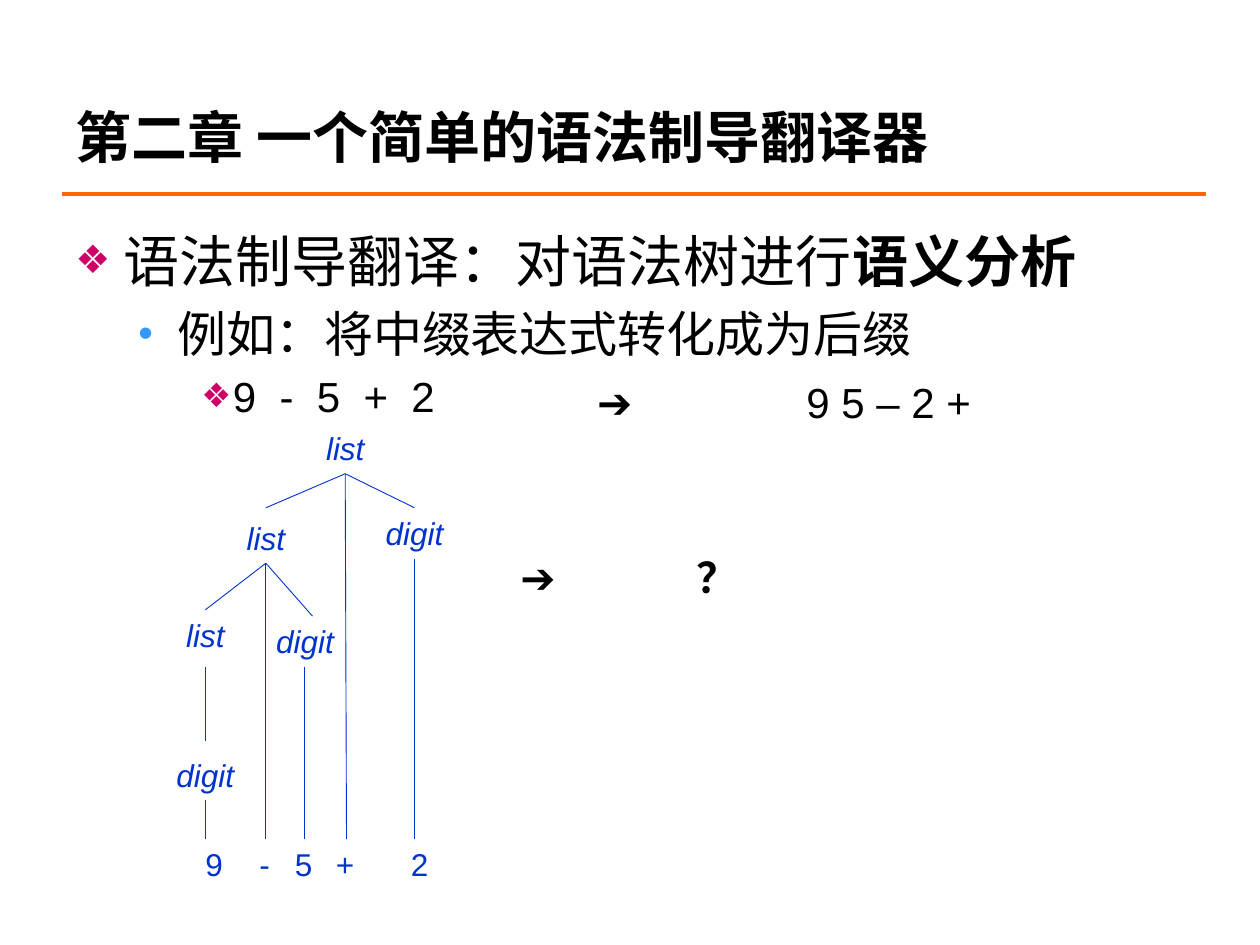
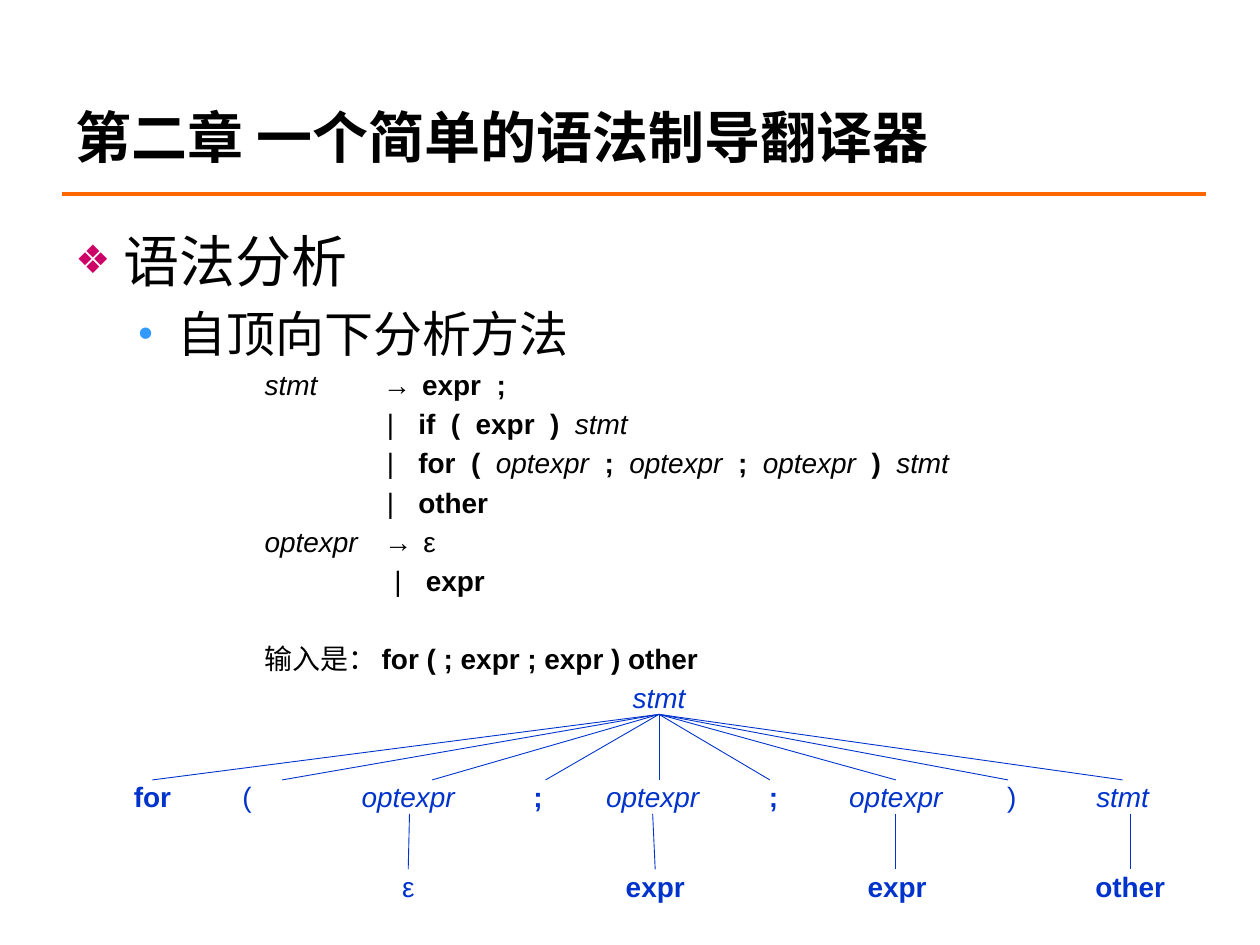
from dataclasses import dataclass
from lxml import etree
from pptx import Presentation
from pptx.dml.color import RGBColor
from pptx.enum import shapes, text
from pptx.oxml import ns
from pptx.util import Inches, Pt


@dataclass(frozen=True)
class Theme:
    ink: str = "000000"
    tree: str = "0033CC"
    rule: str = "FF6600"
    title_font: str = "Noto Sans CJK SC"
    font: str = "Arial"
    title: int = 32
    formula: int = 24
    node: int = 18
    grammar: int = 16
    rule_width: float = 2.25
    branch_width: float = 0.5


THEME = Theme()
TITLE = "第二章 一个简单的语法制导翻译器"
PLAIN, BOLD, ITALIC = {}, {"bold": True}, {"italic": True}
LEVELS = [
    {"size": 32, "left": 0.38, "hang": 0.38, "mark": "❖", "color": "CC0066", "scale": 70},
    {"size": 28, "left": 0.81, "hang": 0.31, "mark": "•", "color": "3399FF", "scale": 85},
    {"size": 24, "left": 1.25, "hang": 0.25, "mark": "❖", "color": "CC0066", "scale": 80},
]

TRANSLATION_BODY = [
    (0, [("语法制导翻译：对语法树进行", PLAIN), ("语义分析", BOLD)], False),
    (1, [("例如：将中缀表达式转化成为后缀", PLAIN)], False),
    (2, [(token, PLAIN) for token in "9-5+2"], True),
]
TRANSLATION_NOTES = [
    (4.74, 2.99, 0.3, "➔", PLAIN), (6.4, 2.99, 1.35, "9 5 – 2 +", PLAIN),
    (4.13, 4.38, 0.3, "➔", PLAIN), (5.53, 4.38, 0.35, "？", BOLD),
]
LIST_NODES = [
    (2.74, 3.36, "list", ITALIC), (2.11, 4.07, "list", ITALIC),
    (1.63, 4.84, "list", ITALIC), (1.63, 5.95, "digit", ITALIC),
    (2.42, 4.89, "digit", ITALIC), (3.29, 4.03, "digit", ITALIC),
] + [(x, 6.66, token, PLAIN)
     for x, token in zip((1.7, 2.1, 2.41, 2.74, 3.33), "9-5+2")]
LIST_BRANCHES = [
    ((2.74, 3.76), [(2.11, 4.03), (2.75, 6.66), (3.29, 4.03)]),
    ((2.11, 4.47), [(1.63, 4.84), (2.11, 6.66), (2.48, 4.89)]),
    ((1.63, 5.29), [(1.63, 5.88)]),
    ((1.63, 6.35), [(1.63, 6.66)]),
    ((2.42, 5.29), [(2.42, 6.66)]),
    ((3.29, 4.44), [(3.29, 6.66)]),
]

PARSING_BODY = [
    (0, [("语法分析", PLAIN)], False),
    (1, [("自顶向下分析方法", PLAIN)], False),
]
NONTERMINALS = {"stmt", "optexpr"}
GRAMMAR = [
    (0, "stmt", 3.04, "→", 3.35, "expr ;"),
    (1, "", 3.07, "|", 3.32, "if ( expr ) stmt"),
    (2, "", 3.07, "|", 3.32, "for ( optexpr ; optexpr ; optexpr ) stmt"),
    (3, "", 3.07, "|", 3.32, "other"),
    (4, "optexpr", 3.05, "→", 3.36, "ε"),
    (5, "", 3.13, "|", 3.38, "expr"),
]
INPUT_ROW, INPUT_LABEL, INPUT = 7, "输入是：", "for ( ; expr ; expr ) other"
GRAMMAR_LEFT, GRAMMAR_TOP, GRAMMAR_PITCH = 2.1, 2.92, 0.31

ROOT_TOP, CHILD_TOP, LEAF_TOP, NODE_HEIGHT = 5.4, 6.19, 6.9, 0.27
ROOT_X = 5.23
CHILDREN = [
    (1.21, "for", BOLD, 1.21), (1.96, "(", PLAIN, 2.24),
    (3.24, "optexpr", ITALIC, 3.43), (4.27, ";", BOLD, 4.33),
    (5.18, "optexpr", ITALIC, 5.23), (6.14, ";", BOLD, 6.11),
    (7.11, "optexpr", ITALIC, 7.11), (8.03, ")", PLAIN, 8.0),
    (8.91, "stmt", ITALIC, 8.91),
]
LEAVES = [
    (3.24, "ε", PLAIN, 3.25, 3.24), (5.2, "expr", BOLD, 5.18, 5.2),
    (7.12, "expr", BOLD, 7.11, 7.11), (8.97, "other", BOLD, 8.97, 8.97),
]
EM_WIDTHS = {"list": 1.24, "digit": 1.89, "stmt": 1.94, "optexpr": 3.38,
             "for": 1.34, "expr": 2.11, "other": 2.51,
             "(": 0.34, ")": 0.34, ";": 0.34, "-": 0.34, "ε": 0.45}


def add_child(parent, tag, **values):
    child = etree.SubElement(parent, ns.qn(tag))
    for name, value in values.items():
        child.set(name, str(value))
    return child


def add_span(para, words, size, color=THEME.ink, font=THEME.font, style=PLAIN):
    span = para.add_run()
    span.text = words
    formats = {"size": Pt(size), "name": font, "bold": False, "italic": False, **style}
    for name, value in formats.items():
        setattr(span.font, name, value)
    span.font.color.rgb = RGBColor.from_string(color)
    add_child(span.font._element, "a:ea", typeface=font)
    return span


def add_tokens(para, tokens, size, spaced):
    for index, (words, style) in enumerate(tokens):
        if spaced and index:
            gap = add_span(para, " ", size)
            gap.font._element.set("spc", str(round(size * 27.8)))
        add_span(para, words, size, style=style)


def add_box(page, left, top, width, height, inset=(0, 0), wrap=False,
            anchor=text.MSO_ANCHOR.TOP):
    box = page.shapes.add_textbox(*map(Inches, (left, top, width, height)))
    across, down = map(Inches, inset)
    formats = {"margin_left": across, "margin_right": across, "margin_top": down,
               "margin_bottom": down, "word_wrap": wrap, "vertical_anchor": anchor}
    for name, value in formats.items():
        setattr(box.text_frame, name, value)
    return box.text_frame


def add_line(page, start, end, color=THEME.tree, width=THEME.branch_width):
    line = page.shapes.add_connector(shapes.MSO_CONNECTOR.STRAIGHT,
                                     *map(Inches, (*start, *end)))
    line.line.color.rgb = RGBColor.from_string(color)
    line.line.width = Pt(width)
    add_child(line._element.spPr, "a:effectLst")


def add_body(page, rows):
    frame = add_box(page, 0.5, 1.75, 9, 4.95, (0.1, 0.05), True)
    for index, (level, tokens, spaced) in enumerate(rows):
        para = frame.paragraphs[0] if index == 0 else frame.add_paragraph()
        para.level = level
        look = LEVELS[level]
        props = para._p.get_or_add_pPr()
        props.set("marL", str(Inches(look["left"])))
        props.set("indent", str(-Inches(look["hang"])))
        add_child(add_child(props, "a:spcBef"), "a:spcPct", val=20000)
        add_child(add_child(props, "a:buClr"), "a:srgbClr", val=look["color"])
        add_child(props, "a:buSzPct", val=look["scale"] * 1000)
        add_child(props, "a:buFont", typeface=THEME.font)
        add_child(props, "a:buChar", char=look["mark"])
        add_tokens(para, tokens, look["size"], spaced)


def add_page(deck, body):
    page = deck.slides.add_slide(deck.slide_layouts[6])
    add_line(page, (0.49, 1.54), (9.57, 1.54), THEME.rule, THEME.rule_width)
    frame = add_box(page, 0.5, 0.76, 7.26, 0.64, (0.1, 0.05), True,
                    text.MSO_ANCHOR.MIDDLE)
    add_span(frame.paragraphs[0], TITLE, THEME.title, font=THEME.title_font, style=BOLD)
    add_body(page, body)
    return page


def add_node(page, center, top, words, style, size, height, inset=(0, 0)):
    width = EM_WIDTHS.get(words, 0.58) * size / 72 + 2 * inset[0]
    frame = add_box(page, center - width / 2, top, width, height, inset)
    para = frame.paragraphs[0]
    para.alignment = text.PP_ALIGN.CENTER
    add_span(para, words, size, THEME.tree, style=style)


def add_grammar_cell(page, row, left, width, tokens, spaced=False):
    top = GRAMMAR_TOP + row * GRAMMAR_PITCH
    frame = add_box(page, left, top, width, NODE_HEIGHT, wrap=True)
    add_tokens(frame.paragraphs[0], tokens, THEME.grammar, spaced)


def token_style(token):
    if token == "ε":
        return PLAIN
    return ITALIC if token in NONTERMINALS else BOLD


def build_translation(deck):
    page = add_page(deck, TRANSLATION_BODY)
    for left, top, width, words, style in TRANSLATION_NOTES:
        frame = add_box(page, left, top, width, 0.38)
        add_span(frame.paragraphs[0], words, THEME.formula, style=style)
    for center, top, words, style in LIST_NODES:
        add_node(page, center, top, words, style, THEME.node, 0.4, (0.1, 0.05))
    for start, ends in LIST_BRANCHES:
        for end in ends:
            add_line(page, start, end)


def build_parsing(deck):
    page = add_page(deck, PARSING_BODY)
    for row, head, mark_left, mark, left, production in GRAMMAR:
        if head:
            add_grammar_cell(page, row, GRAMMAR_LEFT, 0.85, [(head, ITALIC)])
        add_grammar_cell(page, row, mark_left, 0.25, [(mark, PLAIN)])
        tokens = [(token, token_style(token)) for token in production.split()]
        add_grammar_cell(page, row, left, 6, tokens, True)
    add_grammar_cell(page, INPUT_ROW, GRAMMAR_LEFT, 0.92, [(INPUT_LABEL, PLAIN)])
    add_grammar_cell(page, INPUT_ROW, 3.03, 4, [(INPUT, BOLD)])

    nodes = [(ROOT_X, ROOT_TOP, "stmt", ITALIC)]
    nodes += [(x, CHILD_TOP, words, style) for x, words, style, _ in CHILDREN]
    nodes += [(x, LEAF_TOP, words, style) for x, words, style, _, _ in LEAVES]
    for node in nodes:
        add_node(page, *node, THEME.grammar, NODE_HEIGHT)
    for *_, end in CHILDREN:
        add_line(page, (ROOT_X, ROOT_TOP + NODE_HEIGHT), (end, CHILD_TOP))
    for *_, start, end in LEAVES:
        add_line(page, (start, CHILD_TOP + NODE_HEIGHT), (end, LEAF_TOP))


deck = Presentation()
deck.slide_width, deck.slide_height = Inches(10), Inches(7.5)
build_translation(deck)
build_parsing(deck)
deck.save("out.pptx")
